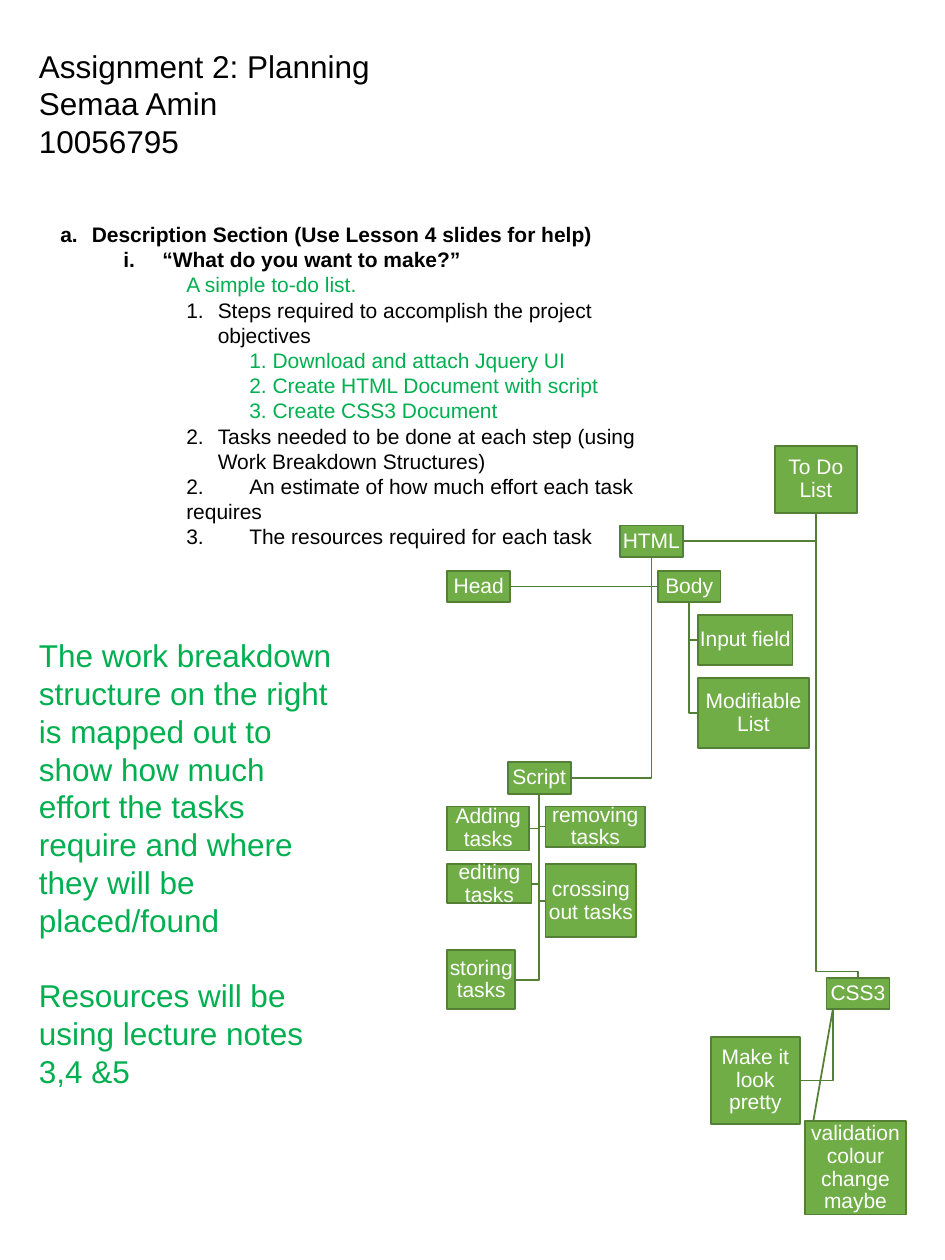
import pptx
import pptx.dml.color
import pptx.enum.text
import pptx.oxml.ns
import pptx.util
import lxml.etree

BLACK = pptx.dml.color.RGBColor(0x00, 0x00, 0x00)
WHITE = pptx.dml.color.RGBColor(0xFF, 0xFF, 0xFF)
ANSWER_GREEN = pptx.dml.color.RGBColor(0x00, 0xB0, 0x50)
BOX_GREEN = pptx.dml.color.RGBColor(0x70, 0xAD, 0x47)
LINE_GREEN = pptx.dml.color.RGBColor(0x53, 0x80, 0x35)

deck = pptx.Presentation()
deck.slide_width = pptx.util.Inches(7.5)
deck.slide_height = pptx.util.Inches(10)
page = deck.slides.add_slide(deck.slide_layouts[6])

# The page is a grid of 75 columns and 100 rows.
COLUMN = deck.slide_width / 75
ROW = deck.slide_height / 100


def add_text(left, top, width, height, lines, size, color, wrap=True):
    box = page.shapes.add_textbox(
        round(left * COLUMN), round(top * ROW), round(width * COLUMN), round(height * ROW))
    frame = box.text_frame
    frame.text = "\n".join(lines)
    frame.word_wrap = wrap
    for para in frame.paragraphs:
        para.font.size = pptx.util.Pt(size)
        for span in para.runs:
            span.font.name = "Arial"
            span.font.size = pptx.util.Pt(size)
            span.font.color.rgb = color
    return frame


def add_elbow(points):
    """Draw an open line through points given in columns and rows."""
    corners = [(round(x * COLUMN), round(y * ROW)) for x, y in points]
    builder = page.shapes.build_freeform(*corners[0])
    builder.add_line_segments(corners[1:], close=False)
    elbow = builder.convert_to_shape()
    elbow.shadow.inherit = False
    elbow.fill.background()
    elbow.line.color.rgb = LINE_GREEN
    elbow.line.width = pptx.util.Pt(1)


# Heading
add_text(2.1, 3.2, 28.5, 10.1, ["Assignment 2: Planning", "Semaa Amin", "10056795"],
         18, BLACK, wrap=False)

# Outline: text, level, left margin and first-line indent in columns, numbering, start, is answer
outline = [
    ("Description Section (Use Lesson 4 slides for help)", 0, 2.5, -2.5, "alphaLcPeriod", 1, False),
    ("“What do you want to make?”", 1, 8.1, -3.1, "romanLcPeriod", 1, False),
    ("A simple to-do list.", 1, 10, 0, None, 1, True),
    ("Steps required to accomplish the project objectives", 2, 12.5, -2.5, "arabicPeriod", 1, False),
    ("1. Download and attach Jquery UI", 2, 15, 0, None, 1, True),
    ("2. Create HTML Document with script", 2, 15, 0, None, 1, True),
    ("3. Create CSS3 Document", 2, 15, 0, None, 1, True),
    ("Tasks needed to be done at each step (using Work Breakdown Structures)",
     2, 12.5, -2.5, "arabicPeriod", 2, False),
    ("2.\tAn estimate of how much effort each task requires", 2, 10, 0, None, 1, False),
    ("3.\tThe resources required for each task", 2, 10, 0, None, 1, False),
]
frame = add_text(3.8, 17.1, 49.8, 27.3, [entry[0] for entry in outline], 12, BLACK)
for para, (text, level, margin, indent, numbering, start, answer) in zip(frame.paragraphs, outline):
    para.level = level
    para.runs[0].font.bold = numbering in ("alphaLcPeriod", "romanLcPeriod")
    if answer:
        para.runs[0].font.color.rgb = ANSWER_GREEN
    properties = para._p.get_or_add_pPr()
    properties.set("marL", str(round(margin * COLUMN)))
    properties.set("indent", str(round(indent * COLUMN)))
    if numbering:
        number = lxml.etree.Element(pptx.oxml.ns.qn("a:buAutoNum"), type=numbering)
        if start > 1:
            number.set("startAt", str(start))
        properties.insert(0, number)
    if "\t" in text:
        stops = lxml.etree.Element(pptx.oxml.ns.qn("a:tabLst"))
        lxml.etree.SubElement(stops, pptx.oxml.ns.qn("a:tab"),
                              pos=str(round(12.7 * COLUMN)), algn="l")
        properties.insert(0, stops)

# Work breakdown boxes: left, top, width, height in columns and rows
tasks = {
    "To Do List": (61.5, 35.4, 6.5, 5.3),
    "CSS3": (65.6, 77.6, 5, 2.5),
    "Make it look pretty": (56.4, 82.3, 7.1, 6.9),
    "validation colour change maybe": (63.9, 89, 8, 7.4),
    "HTML": (49.2, 41.7, 5, 2.5),
    "Head": (35.5, 45.3, 5, 2.5),
    "Body": (52.2, 45.3, 5, 2.5),
    "Input field": (55.4, 48.8, 7.5, 4),
    "Modifiable List": (55.4, 53.8, 8.8, 5.6),
    "Script": (40.3, 60.5, 5, 2.5),
    "Adding tasks": (35.5, 64, 6.5, 3.5),
    "removing tasks": (43.3, 64, 7.9, 3.2),
    "editing tasks": (35.5, 68.6, 6.7, 3.1),
    "crossing out tasks": (43.3, 68.6, 7.2, 5.8),
    "storing tasks": (35.5, 75.4, 5.4, 4.7),
}

# Each branch drops from its parent, then turns to the near side of the child.
branches = {
    "Script": ["storing tasks", "crossing out tasks", "editing tasks",
               "removing tasks", "Adding tasks"],
    "HTML": ["Script", "Body", "Head"],
    "Body": ["Modifiable List", "Input field"],
    "To Do List": ["HTML"],
    "CSS3": ["Make it look pretty"],
}
css_left, css_top, css_width, css_height = tasks["CSS3"]
css_trunk = css_left + css_width / 10
css_bottom = css_top + css_height
for parent, children in branches.items():
    left, top, width, height = tasks[parent]
    trunk = css_trunk if parent == "CSS3" else left + width / 2
    for child in children:
        child_left, child_top, child_width, child_height = tasks[child]
        side = child_left if child_left > trunk else child_left + child_width
        middle = child_top + child_height / 2
        add_elbow([(trunk, top + height), (trunk, middle), (side, middle)])

root_left, root_top, root_width, root_height = tasks["To Do List"]
root_trunk = root_left + root_width / 2
css_middle = css_left + css_width / 2
add_elbow([(root_trunk, root_top + root_height), (root_trunk, css_top - 0.5),
           (css_middle, css_top - 0.5), (css_middle, css_top)])

validation_line = page.shapes.add_connector(
    1, round(css_trunk * COLUMN), round(css_bottom * ROW), 0, 0)
validation_line.line.color.rgb = LINE_GREEN
validation_line.line.width = pptx.util.Pt(1)
lxml.etree.SubElement(validation_line._element.spPr, pptx.oxml.ns.qn("a:effectLst"))

for task, (left, top, width, height) in tasks.items():
    box = page.shapes.add_shape(
        1, round(left * COLUMN), round(top * ROW), round(width * COLUMN), round(height * ROW))
    box.shadow.inherit = False
    box.fill.solid()
    box.fill.fore_color.rgb = BOX_GREEN
    box.line.color.rgb = LINE_GREEN
    box.line.width = pptx.util.Pt(1)
    frame = box.text_frame
    frame.text = task
    frame.word_wrap = True
    frame.vertical_anchor = pptx.enum.text.MSO_ANCHOR.MIDDLE
    frame.margin_left = frame.margin_right = round(0.1 * COLUMN)
    frame.margin_top = frame.margin_bottom = round(0.1 * ROW)
    para = frame.paragraphs[0]
    para.alignment = pptx.enum.text.PP_ALIGN.CENTER
    para.line_spacing = 0.9
    span = para.runs[0]
    span.font.name = "Arial"
    span.font.size = pptx.util.Pt(12)
    span.font.color.rgb = WHITE
    if task == "validation colour change maybe":
        validation_line.end_connect(box, 1)

# Explanation: the second paragraph stands one line below the first
frame = add_text(2.1, 50, 25.9, 37.4, [
    "The work breakdown structure on the right is mapped out to show how much effort "
    "the tasks require and where they will be placed/found",
    "Resources will be using lecture notes 3,4 &5"], 18, ANSWER_GREEN)
frame.paragraphs[1].space_before = pptx.util.Pt(21.5)

deck.save("out.pptx")
